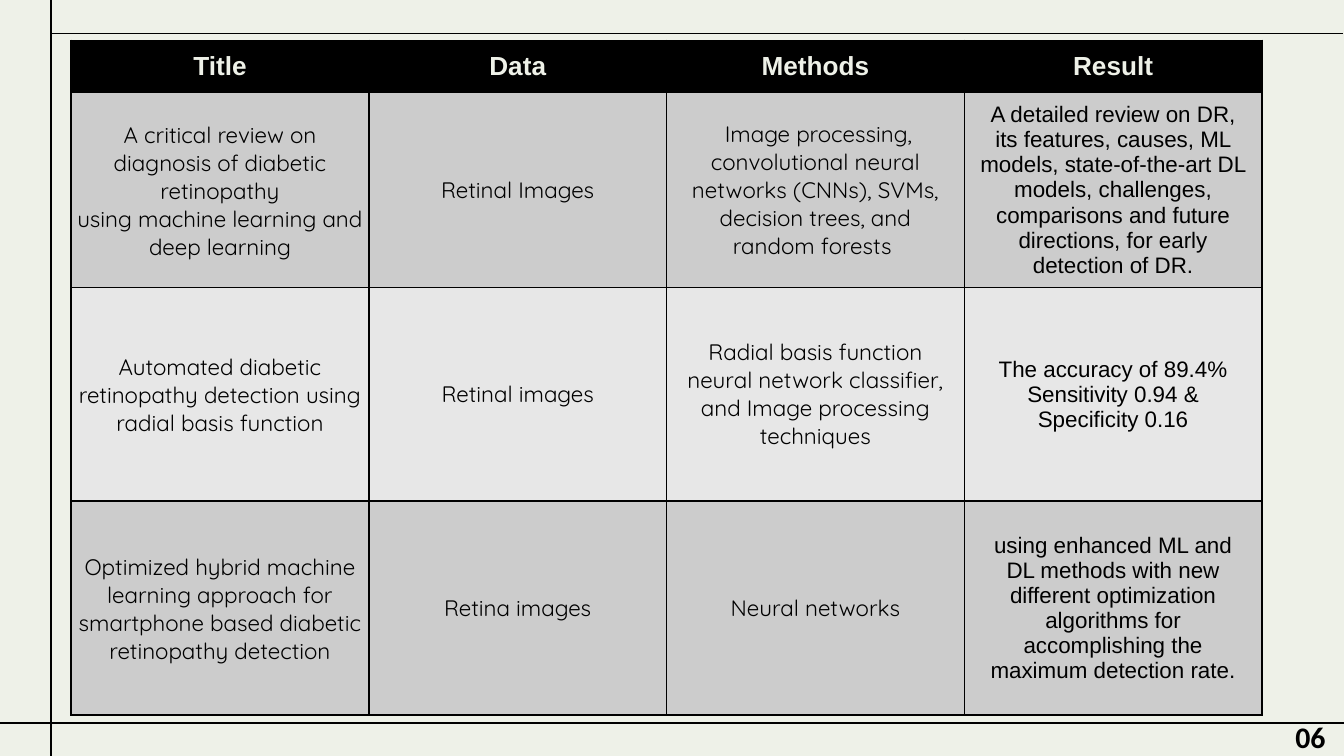
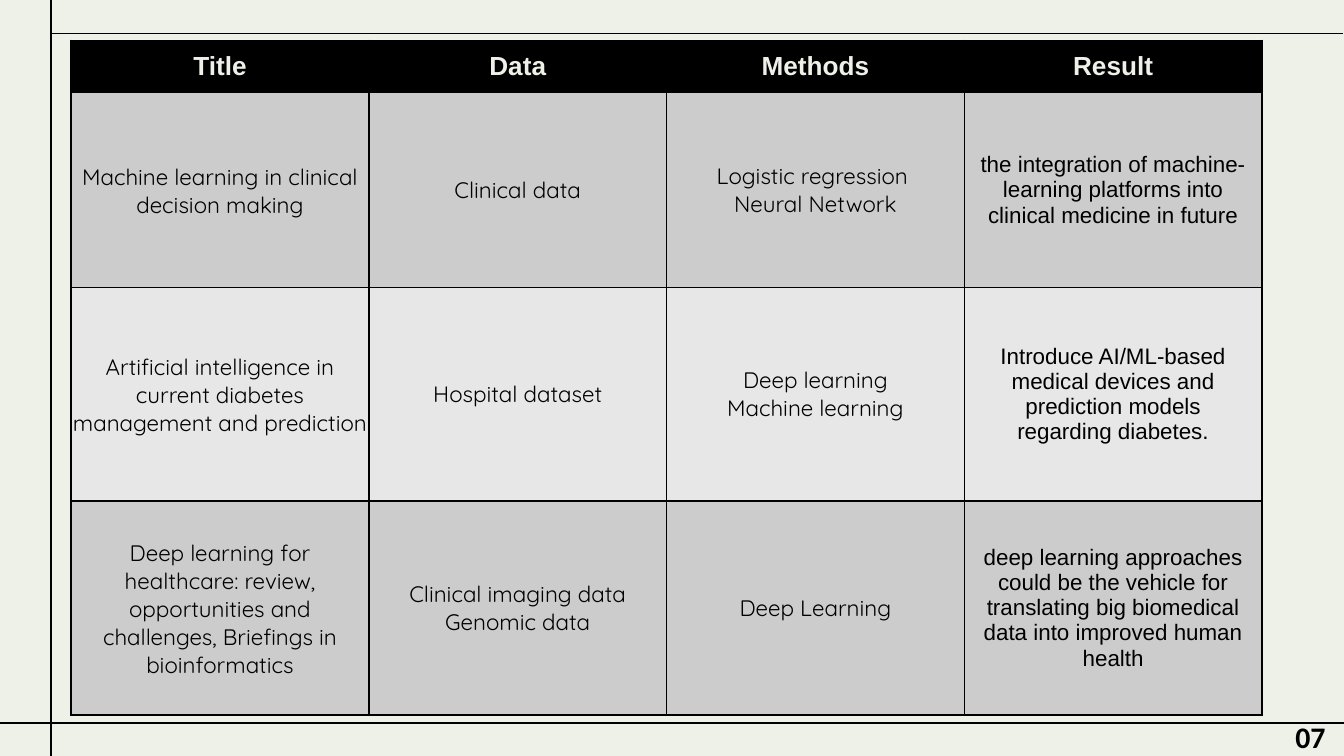
from lxml.etree import SubElement
from pptx import Presentation
from pptx.dml.color import RGBColor
from pptx.enum.shapes import MSO_CONNECTOR as Connector
from pptx.enum.text import MSO_ANCHOR as Anchor, MSO_AUTO_SIZE as AutoSize, PP_ALIGN as Align
from pptx.oxml.ns import qn
from pptx.util import Inches, Pt

BLACK = RGBColor(0x00, 0x00, 0x00)
CREAM = RGBColor(0xEE, 0xF1, 0xE8)
DARK_BAND = RGBColor(0xCC, 0xCC, 0xCC)
LIGHT_BAND = RGBColor(0xE7, 0xE7, 0xE7)

WIDTH = Inches(10)
HEIGHT = WIDTH * 9 // 16
RULE_LEFT, RULE_TOP, RULE_BOTTOM = Inches(0.38), Inches(0.25), Inches(5.38)
RULES = [
    (RULE_LEFT, RULE_TOP, Inches(9.99), RULE_TOP),
    (RULE_LEFT, Inches(-0.03), RULE_LEFT, HEIGHT),
    (Inches(-0.01), RULE_BOTTOM, Inches(10.01), RULE_BOTTOM),
]
TABLE_LEFT, TABLE_TOP, TABLE_WIDTH = Inches(0.53), Inches(0.3), Inches(8.86)
ROW_HEIGHTS = [Inches(0.39), Inches(1.45), Inches(1.59), Inches(1.59)]
HEADINGS = ["Title", "Data", "Methods", "Result"]

REVIEWS = {
    "06": [
        ["A critical review on diagnosis of diabetic retinopathy\n"
         "using machine learning and deep learning",
         "Retinal Images",
         " Image processing, convolutional neural networks (CNNs), SVMs,\n"
         "decision trees, and\nrandom forests ",
         "A detailed review on DR, its features, causes, ML models, "
         "state-of-the-art DL models, challenges, comparisons and future "
         "directions, for early detection of DR."],
        ["Automated diabetic retinopathy detection using radial basis function",
         "Retinal images",
         "Radial basis function neural network classifier, and Image "
         "processing techniques",
         "The accuracy of 89.4% Sensitivity 0.94 & Specificity 0.16"],
        ["Optimized hybrid machine learning approach for smartphone based "
         "diabetic retinopathy detection",
         "Retina images",
         "Neural networks",
         "using enhanced ML and DL methods with new different optimization "
         "algorithms for accomplishing the maximum detection rate."],
    ],
    "07": [
        ["Machine learning in clinical decision making",
         "Clinical data",
         "Logistic regression \nNeural Network",
         "the integration of machine-learning platforms into clinical "
         "medicine in future"],
        ["Artificial intelligence in current diabetes management and prediction",
         "Hospital dataset",
         "Deep learning\nMachine learning",
         "Introduce AI/ML-based medical devices and prediction models "
         "regarding diabetes."],
        ["Deep learning for healthcare: review, opportunities and challenges, "
         "Briefings in bioinformatics",
         "Clinical imaging data\nGenomic data",
         "Deep Learning",
         "deep learning approaches could be the vehicle for translating big "
         "biomedical data into improved human health"],
    ],
}


def write_text(frame, text, font, size, color=BLACK, bold=False, align=Align.LEFT):
    for index, line in enumerate(text.split("\n")):
        para = frame.add_paragraph() if index else frame.paragraphs[0]
        para.alignment = align
        span = para.add_run()
        span.text = line
        span.font.name = font
        span.font.size = Pt(size)
        span.font.bold = bold
        span.font.color.rgb = color


def add_rule(page, ends):
    rule = page.shapes.add_connector(Connector.STRAIGHT, *ends)
    rule.line.color.rgb = BLACK
    rule.line.width = Pt(0.75)
    SubElement(rule._element.spPr, qn("a:effectLst"))


def style_cell(cell, fill):
    properties = cell._tc.get_or_add_tcPr()
    for side in ("a:lnL", "a:lnR", "a:lnT", "a:lnB"):
        border = SubElement(properties, qn(side), w=str(Pt(1)))
        paint = SubElement(border, qn("a:solidFill"))
        SubElement(paint, qn("a:srgbClr"), val=str(BLACK))
    cell.fill.solid()
    cell.fill.fore_color.rgb = fill
    cell.vertical_anchor = Anchor.MIDDLE


def add_review_table(page, reviews):
    rows = [HEADINGS] + reviews
    table = page.shapes.add_table(len(rows), len(HEADINGS), TABLE_LEFT, TABLE_TOP,
                                  TABLE_WIDTH, sum(ROW_HEIGHTS)).table
    table.horz_banding = False
    for row, height in zip(table.rows, ROW_HEIGHTS):
        row.height = height
    for r, texts in enumerate(rows):
        for c, text in enumerate(texts):
            cell = table.cell(r, c)
            if r == 0:
                style_cell(cell, BLACK)
                write_text(cell.text_frame, text, "Arial", 14, color=CREAM,
                           bold=True, align=Align.CENTER)
                continue
            style_cell(cell, DARK_BAND if r % 2 else LIGHT_BAND)
            if c == 0:
                cell.margin_left = cell.margin_right = cell.margin_top = Inches(0.01)
                cell.margin_bottom = 0
            font = "Arial" if HEADINGS[c] == "Result" else "Quicksand"
            write_text(cell.text_frame, text, font, 12, align=Align.CENTER)


def add_page_number(page, number):
    box = page.shapes.add_textbox(Inches(9.54), Inches(5.3), Inches(0.46), Inches(0.37))
    box.text_frame.word_wrap = True
    box.text_frame.auto_size = AutoSize.SHAPE_TO_FIT_TEXT
    write_text(box.text_frame, number, "Calibri", 16, bold=True)


def main():
    deck = Presentation()
    deck.slide_width, deck.slide_height = WIDTH, HEIGHT
    background = deck.slide_master.background.fill
    background.solid()
    background.fore_color.rgb = CREAM
    blank = deck.slide_layouts.get_by_name("Blank")
    for number, reviews in REVIEWS.items():
        page = deck.slides.add_slide(blank)
        for ends in RULES:
            add_rule(page, ends)
        add_review_table(page, reviews)
        add_page_number(page, number)
    deck.save("out.pptx")


if __name__ == "__main__":
    main()
